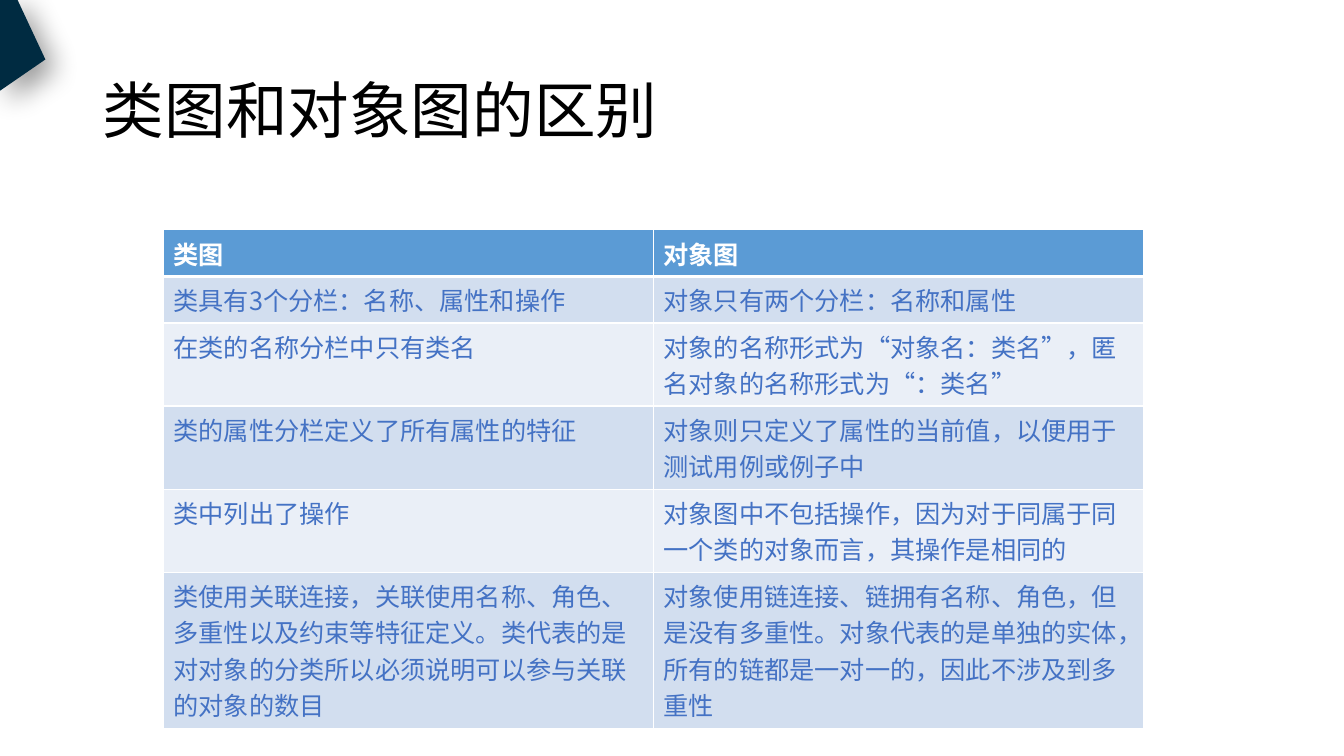
"""Build a slide that compares class diagrams with object diagrams."""
from lxml import etree
from pptx import Presentation
from pptx.dml.color import RGBColor
from pptx.enum import text as t
from pptx.oxml import ns, parse_xml
from pptx.util import Inches, Pt

HUES = {"ink": "000000", "white": "FFFFFF", "navy": "002B41", "head": "5B9BD5",
        "body": "4472C4", "odd": "D2DEEF", "even": "EAEFF7"}
SANS = "Noto Sans CJK SC"
ROWS = [
    ("类图", "对象图"),
    ("类具有3个分栏：名称、属性和操作", "对象只有两个分栏：名称和属性"),
    ("在类的名称分栏中只有类名",
     "对象的名称形式为“对象名：类名”，匿名对象的名称形式为“：类名”"),
    ("类的属性分栏定义了所有属性的特征",
     "对象则只定义了属性的当前值，以便用于测试用例或例子中"),
    ("类中列出了操作",
     "对象图中不包括操作，因为对于同属于同一个类的对象而言，其操作是相同的"),
    ("类使用关联连接，关联使用名称、角色、多重性以及约束等特征定义。"
     "类代表的是对对象的分类所以必须说明可以参与关联的对象的数目",
     "对象使用链连接、链拥有名称、角色，但是没有多重性。"
     "对象代表的是单独的实体，所有的链都是一对一的，因此不涉及到多重性"),
]
HIGH = [0.44, 0.44, 0.74, 0.74, 0.74, 1.37]


def write(frame, words, size, hue, font=SANS, bold=False, space=None):
    para = frame.paragraphs[0]
    para.alignment = t.PP_ALIGN.LEFT
    if space:
        para.line_spacing = space
    run = para.add_run()
    run.text = words
    run.font.size = Pt(size)
    run.font.name = font
    run.font.bold = bold
    run.font.color.rgb = RGBColor.from_string(HUES[hue])
    east = etree.SubElement(run.font._element, ns.qn("a:ea"))
    east.set("typeface", SANS)


def edge(cell, side, width, spot):
    line = parse_xml(
        f'<a:ln{side} {ns.nsdecls("a")} w="{Pt(width)}"><a:solidFill>'
        f'<a:srgbClr val="{HUES["white"]}"/></a:solidFill></a:ln{side}>')
    cell._tc.get_or_add_tcPr().insert(spot, line)


deck = Presentation()
deck.slide_width, deck.slide_height = Inches(13.33), Inches(7.5)
slide = deck.slides.add_slide(deck.slide_layouts[5])

title = slide.shapes.title
title.left, title.top = Inches(0.92), Inches(0.4)
title.width, title.height = Inches(11.5), Inches(1.45)
title.text_frame.vertical_anchor = t.MSO_ANCHOR.MIDDLE
title.text_frame.auto_size = t.MSO_AUTO_SIZE.NONE
write(title.text_frame, "类图和对象图的区别", 44, "ink", font="Arial", space=0.9)

pen = slide.shapes.build_freeform(Inches(0.17), Inches(-0.01))
pen.add_line_segments([(Inches(x), Inches(y)) for x, y in
                       [(0, -0.01), (0, 0.9), (0.45, 0.59)]], close=True)
corner = pen.convert_to_shape()
corner.fill.solid()
corner.fill.fore_color.rgb = RGBColor.from_string(HUES["navy"])
corner.line.fill.background()
corner.shadow.inherit = False
glow = corner._element.spPr.find(ns.qn("a:effectLst"))
glow.append(parse_xml(
    f'<a:outerShdw {ns.nsdecls("a")} blurRad="{Pt(20)}" dist="{Pt(10)}" '
    f'dir="{45 * 60000}" algn="tl" rotWithShape="0"><a:srgbClr val="{HUES["ink"]}">'
    '<a:alpha val="40000"/></a:srgbClr></a:outerShdw>'))

table = slide.shapes.add_table(len(ROWS), 2, Inches(1.62), Inches(2.28),
                               Inches(9.72), Inches(sum(HIGH))).table
for col in table.columns:
    col.width = Inches(4.86)
for r, (row, high) in enumerate(zip(ROWS, HIGH)):
    table.rows[r].height = Inches(high)
    top = r == 0
    fill = "head" if top else ("odd" if r % 2 else "even")
    for c, words in enumerate(row):
        cell = table.cell(r, c)
        cell.fill.solid()
        cell.fill.fore_color.rgb = RGBColor.from_string(HUES[fill])
        for spot, side in enumerate("LRTB"):
            thick = (top and side == "B") or (r == 1 and side == "T")
            edge(cell, side, 3 if thick else 1, spot)
        write(cell.text_frame, words, 18, "white" if top else "body", bold=top)

deck.save("out.pptx")
